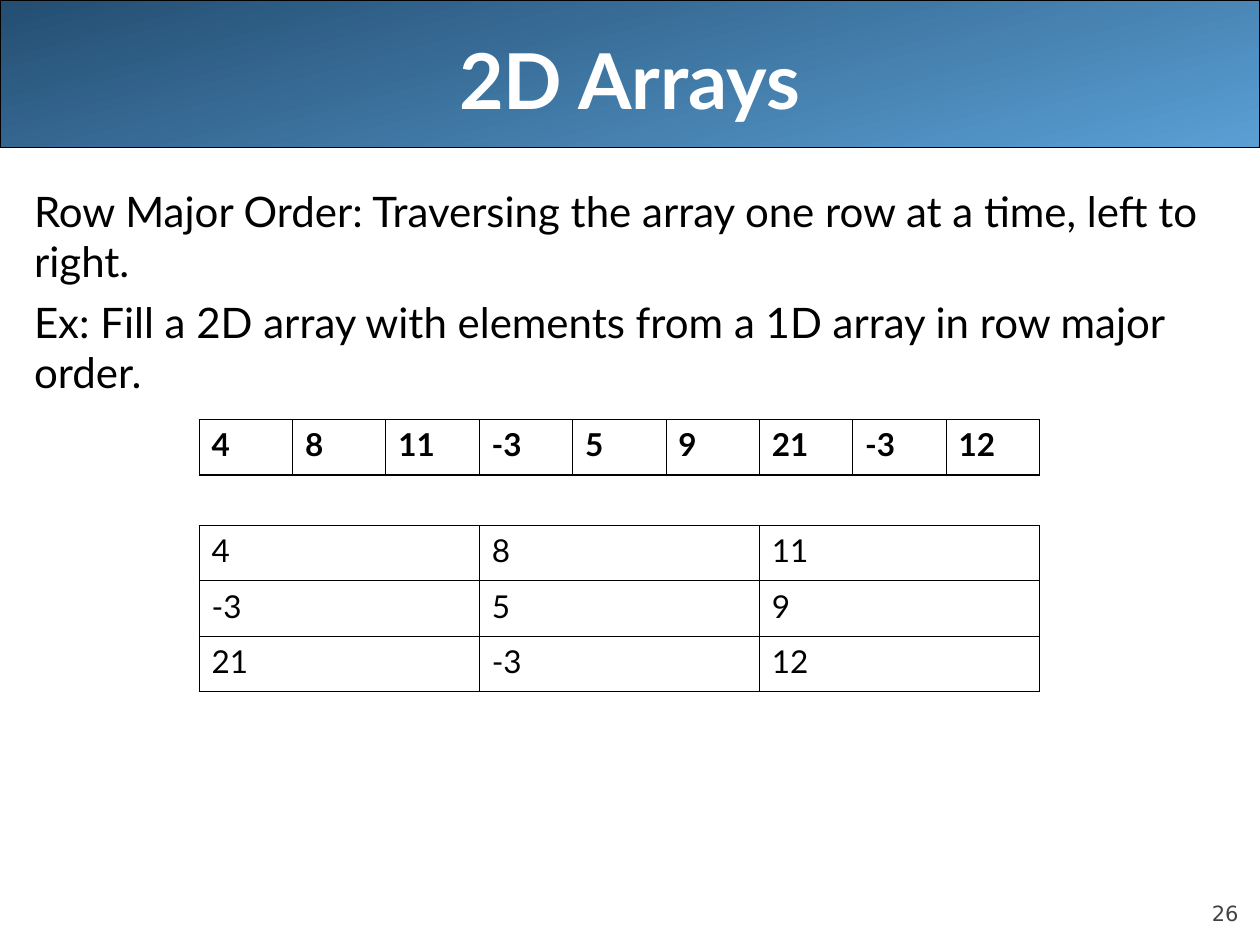
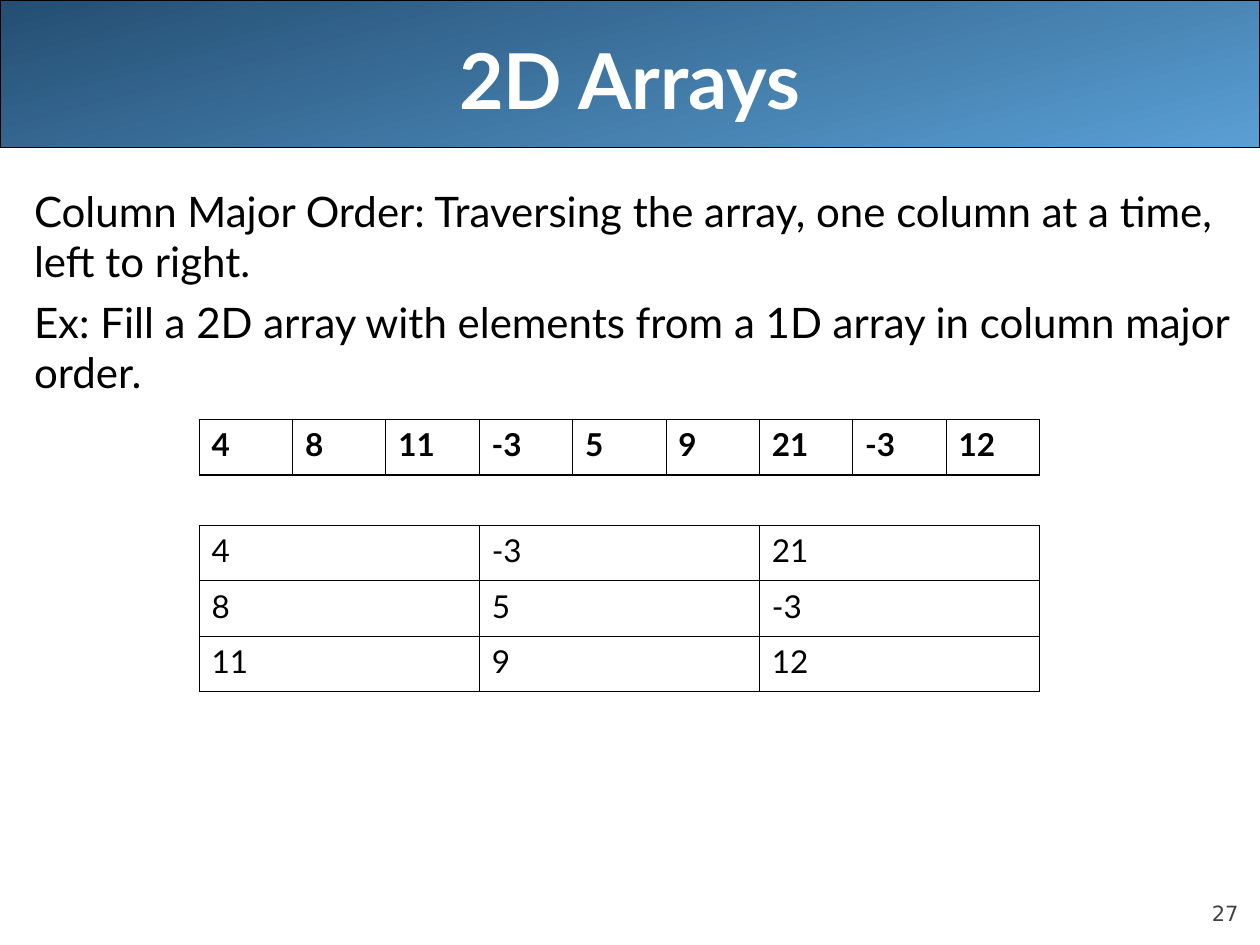
from dataclasses import dataclass

from lxml.etree import SubElement
from pptx import Presentation
from pptx.dml.color import RGBColor
from pptx.enum.shapes import MSO_SHAPE
from pptx.enum.text import MSO_ANCHOR, MSO_AUTO_SIZE, PP_ALIGN
from pptx.oxml.ns import qn
from pptx.slide import Slide
from pptx.text.text import _Paragraph
from pptx.util import Inches, Length, Pt

BLACK = RGBColor(0x00, 0x00, 0x00)
WHITE = RGBColor(0xFF, 0xFF, 0xFF)
NUMBER_GRAY = RGBColor(0x42, 0x42, 0x42)
BAND_LIGHT = RGBColor(0x5A, 0x9F, 0xD4)
BAND_DARK = RGBColor(0x24, 0x4E, 0x72)

TEXT_FONT = "Lato"
NUMBER_FONT = "DejaVu Sans"

TABLE_LEFT = Inches(1.58)
TABLE_WIDTH = Inches(6.67)
ROW_HEIGHT = Inches(0.44)
THIN, THICK = Pt(0.45), Pt(0.96)

VALUES = [4, 8, 11, -3, 5, 9, 21, -3, 12]
SIDE = 3
ROW_MAJOR = [VALUES[start:start + SIDE] for start in range(0, len(VALUES), SIDE)]
COLUMN_MAJOR = [list(column) for column in zip(*ROW_MAJOR)]


@dataclass(frozen=True)
class TraversalSlide:
    number: int
    definition: str
    example: str
    filled_array: list[list[int]]


@dataclass(frozen=True)
class ArrayTable:
    top: Length
    rows: list[list[int]]
    bold: bool = False
    bottom_line: Length = THIN


TRAVERSALS = [
    TraversalSlide(
        26,
        "Row Major Order: Traversing the array one row at a time, left to right.",
        "Ex: Fill a 2D array with elements from a 1D array in row major order.",
        ROW_MAJOR,
    ),
    TraversalSlide(
        27,
        "Column Major Order: Traversing the array, one column at a time, left to right.",
        "Ex: Fill a 2D array with elements from a 1D array in column major order.",
        COLUMN_MAJOR,
    ),
]


def add_run(paragraph: _Paragraph, text: str, size: int, color: RGBColor = BLACK,
            bold: bool = False, font: str = TEXT_FONT) -> None:
    run = paragraph.add_run()
    run.text = text
    run.font.name = font
    run.font.size = Pt(size)
    run.font.bold = bold
    run.font.color.rgb = color


def add_title_band(slide: Slide) -> None:
    """Draw the gradient band behind the title."""
    band = slide.shapes.add_shape(
        MSO_SHAPE.ROUNDED_RECTANGLE, 0, 0, Inches(10), Inches(1.17))
    band.adjustments[0] = 0
    band.shadow.inherit = False
    band.fill.gradient()
    band.fill.gradient_angle = 105
    for stop, color in zip(band.fill.gradient_stops, (BAND_LIGHT, BAND_DARK)):
        stop.color.rgb = color
    band.line.color.rgb = BLACK
    band.line.width = Pt(0.75)
    slide.shapes.title._element.addprevious(band._element)


def set_title(slide: Slide, text: str) -> None:
    title = slide.shapes.title
    title.left, title.top = Inches(0.5), Inches(0)
    title.width, title.height = Inches(9), Inches(1.25)
    frame = title.text_frame
    frame.auto_size = MSO_AUTO_SIZE.NONE
    frame.vertical_anchor = MSO_ANCHOR.MIDDLE
    paragraph = frame.paragraphs[0]
    paragraph.alignment = PP_ALIGN.CENTER
    add_run(paragraph, text, 44, WHITE, bold=True)


def set_body(slide: Slide, texts: list[str]) -> None:
    body = slide.placeholders[1]
    body.left, body.top = Inches(0.17), Inches(1.42)
    body.width, body.height = Inches(9.83), Inches(5.67)
    frame = body.text_frame
    frame.auto_size = MSO_AUTO_SIZE.NONE
    for index, text in enumerate(texts):
        paragraph = frame.add_paragraph() if index else frame.paragraphs[0]
        properties = paragraph._p.get_or_add_pPr()
        properties.set("marL", "0")
        properties.set("indent", "0")
        SubElement(properties, qn("a:buNone"))
        paragraph.space_before = Pt(6 if index else 0)
        add_run(paragraph, text, 24)


def add_page_number(slide: Slide, number: int) -> None:
    box = slide.shapes.add_textbox(
        Inches(9), Inches(6.95), Inches(0.83), Inches(0.4))
    frame = box.text_frame
    frame.word_wrap = True
    frame.vertical_anchor = MSO_ANCHOR.BOTTOM
    frame.margin_left = frame.margin_right = 0
    frame.margin_top = frame.margin_bottom = 0
    paragraph = frame.paragraphs[0]
    paragraph.alignment = PP_ALIGN.RIGHT
    add_run(paragraph, str(number), 12, NUMBER_GRAY, font=NUMBER_FONT)


def add_array_table(slide: Slide, array: ArrayTable) -> None:
    row_count, column_count = len(array.rows), len(array.rows[0])
    table = slide.shapes.add_table(
        row_count, column_count, TABLE_LEFT, array.top,
        TABLE_WIDTH, ROW_HEIGHT * row_count).table
    table.first_row = table.horz_banding = False
    for row, values in zip(table.rows, array.rows):
        row.height = ROW_HEIGHT
        for cell, value in zip(row.cells, values):
            add_run(cell.text_frame.paragraphs[0], str(value), 18, bold=array.bold)
            properties = cell._tc.get_or_add_tcPr()
            for side in ("L", "R", "T", "B"):
                width = array.bottom_line if side == "B" else THIN
                border = SubElement(properties, qn(f"a:ln{side}"), w=str(int(width)))
                fill = SubElement(border, qn("a:solidFill"))
                SubElement(fill, qn("a:srgbClr"), val=str(BLACK))
            cell.fill.background()


def main() -> None:
    presentation = Presentation()
    presentation.slide_width = Inches(10)
    presentation.slide_height = Inches(7.5)
    title_and_content = presentation.slide_layouts[1]
    for traversal in TRAVERSALS:
        slide = presentation.slides.add_slide(title_and_content)
        add_title_band(slide)
        set_title(slide, "2D Arrays")
        set_body(slide, [traversal.definition, traversal.example])
        add_page_number(slide, traversal.number)
        add_array_table(slide, ArrayTable(Inches(3.33), [VALUES], True, THICK))
        add_array_table(slide, ArrayTable(Inches(4.17), traversal.filled_array))
    presentation.save("out.pptx")


if __name__ == "__main__":
    main()
